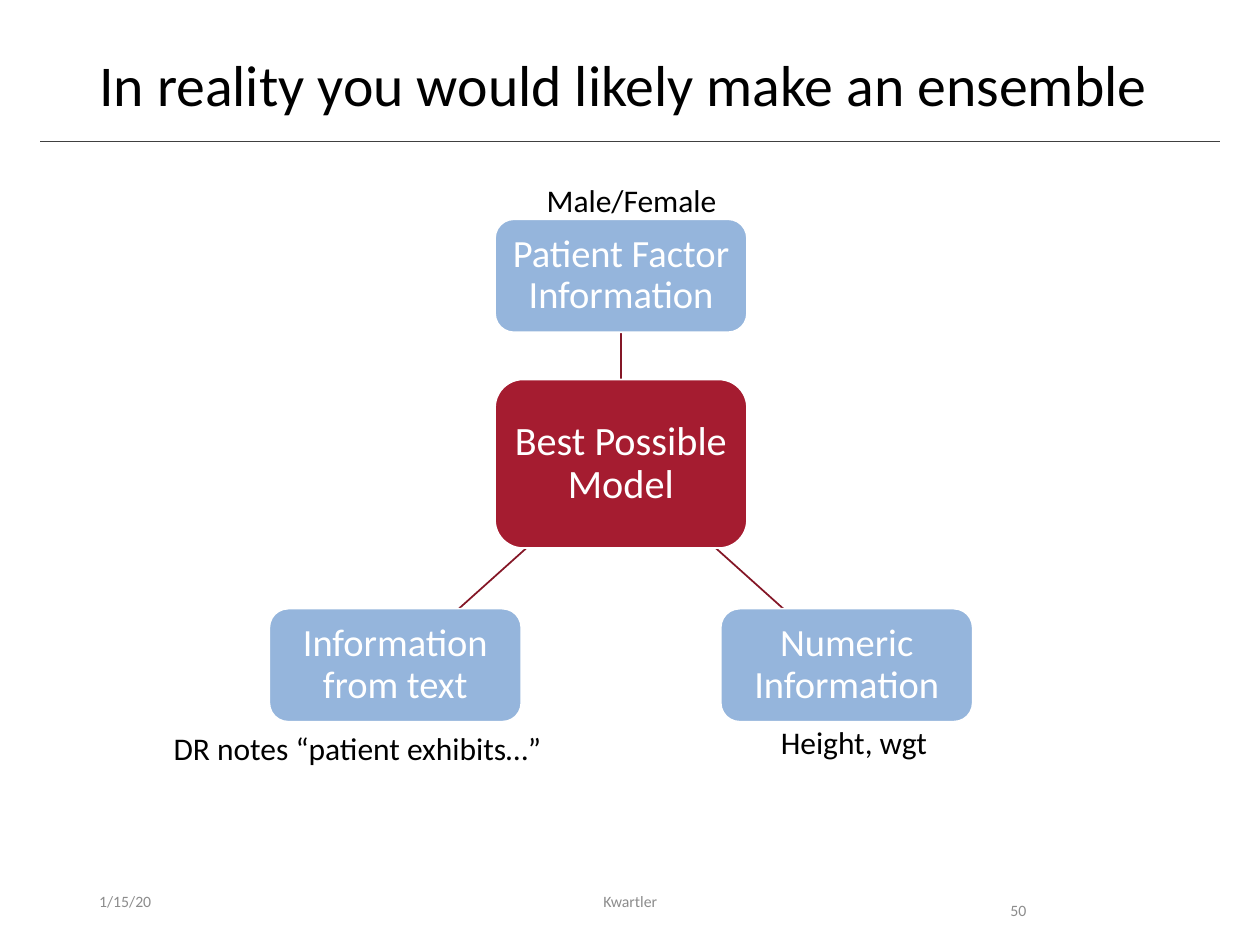
from lxml import etree
from pptx import Presentation
from pptx.dml.color import RGBColor
from pptx.enum.shapes import MSO_CONNECTOR as LINE, MSO_SHAPE as SHAPE
from pptx.enum.text import MSO_ANCHOR as ANCHOR, PP_ALIGN as ALIGN
from pptx.oxml.ns import qn
from pptx.util import Cm, Pt

COLORS = {"crimson": "A51C30", "spoke": "841626", "blue": "95B5DC",
          "white": "FFFFFF", "black": "000000", "gray": "8C8C8C", "rule": "404040"}
RGB = {name: RGBColor.from_string(value) for name, value in COLORS.items()}

deck = Presentation()
deck.slide_width, deck.slide_height = Cm(25.4), Cm(19.05)
slide = deck.slides.add_slide(deck.slide_layouts[6])


def write(frame, text, size, color, align=ALIGN.LEFT, anchor=ANCHOR.TOP, spacing=1.0, wrap=True):
    frame.word_wrap = wrap
    frame.vertical_anchor = anchor
    paragraph = frame.paragraphs[0]
    paragraph.alignment = align
    paragraph.line_spacing = spacing
    run = paragraph.add_run()
    run.text = text
    run.font.name = "Calibri"
    run.font.size = Pt(size)
    run.font.color.rgb = RGB[color]


def draw_line(x1, y1, x2, y2, color, width):
    line = slide.shapes.add_connector(LINE.STRAIGHT, Cm(x1), Cm(y1), Cm(x2), Cm(y2))
    line.line.color.rgb = RGB[color]
    line.line.width = Pt(width)
    etree.SubElement(line._element.spPr, qn("a:effectLst"))


# Title and rule
title = slide.shapes.add_textbox(Cm(1.75), Cm(1.02), Cm(21.9), Cm(1.65))
write(title.text_frame, "In reality you would likely make an ensemble", 33, "black", spacing=0.9)
draw_line(0.81, 2.85, 24.59, 2.85, "rule", 0.5)

# Spokes from the central model to each source of information
center_x = 12.52
draw_line(center_x, 7.65, center_x, 6.71, "spoke", 1)
for side in (-1, 1):
    draw_line(center_x + side * 1.91, 11.05, center_x + side * 3.27, 12.27, "spoke", 1)

# Model and information boxes: text, center x, top, height, fill, text size
node_width = 5.08
nodes = [
    ("Best Possible Model", center_x, 7.65, 3.4, "crimson", 23),
    ("Patient Factor Information", center_x, 4.42, 2.28, "blue", 22),
    ("Numeric Information", center_x + 4.55, 12.27, 2.28, "blue", 22),
    ("Information from text", center_x - 4.55, 12.27, 2.28, "blue", 22),
]
for text, middle, top, height, fill, size in nodes:
    node = slide.shapes.add_shape(SHAPE.ROUNDED_RECTANGLE, Cm(middle - node_width / 2), Cm(top),
                                  Cm(node_width), Cm(height))
    node.shadow.inherit = False
    node.fill.solid()
    node.fill.fore_color.rgb = RGB[fill]
    node.line.color.rgb = RGB["white"]
    node.line.width = Pt(1)
    frame = node.text_frame
    frame.margin_left = frame.margin_right = frame.margin_top = frame.margin_bottom = Cm(0.15)
    write(frame, text, size, "white", ALIGN.CENTER, ANCHOR.MIDDLE, 0.9)

# Example beside each information box
examples = [
    ("Male/Female", 10.77, 3.53, 3.99),
    ("Height, wgt", 15.49, 14.45, 3.51),
    ("DR notes “patient exhibits…”", 3.25, 14.58, 8.03),
]
for text, left, top, width in examples:
    example = slide.shapes.add_textbox(Cm(left), Cm(top), Cm(width), Cm(1.02))
    write(example.text_frame, text, 18, "black", wrap=False)

# Footer: date, author, page number
footer = [
    ("1/15/20", 1.75, 5.72, ALIGN.LEFT, ANCHOR.MIDDLE, 1.0),
    ("Kwartler", 8.41, 8.59, ALIGN.CENTER, ANCHOR.MIDDLE, 1.0),
    ("50", 20.12, 2.39, ALIGN.LEFT, ANCHOR.TOP, 2.0),
]
for text, left, width, align, anchor, spacing in footer:
    note = slide.shapes.add_textbox(Cm(left), Cm(17.65), Cm(width), Cm(1.02))
    write(note.text_frame, text, 9, "gray", align, anchor, spacing)

deck.save("out.pptx")
